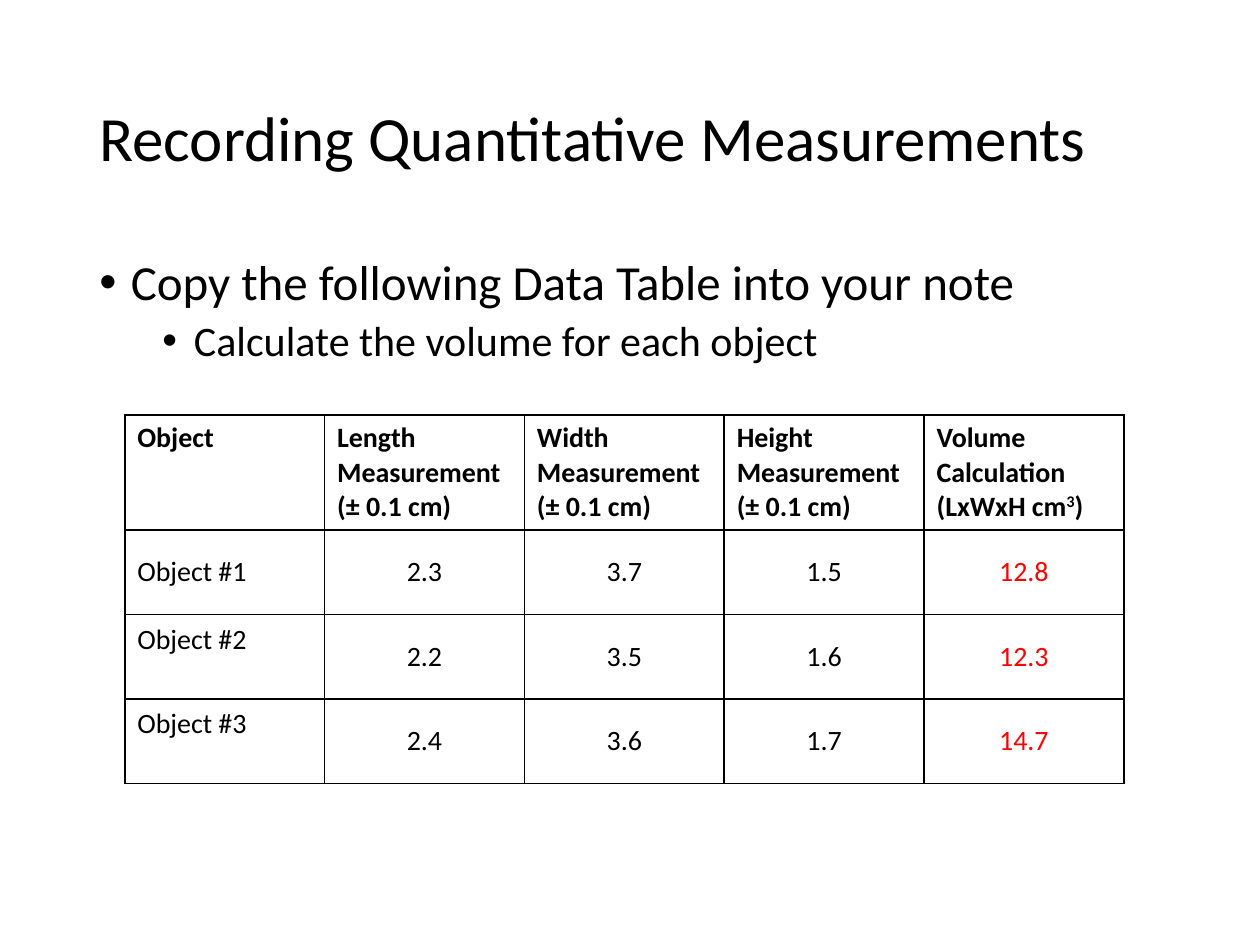
from copy import deepcopy
from dataclasses import dataclass

from lxml import etree
from pptx import Presentation
from pptx.dml.color import RGBColor
from pptx.enum.text import MSO_ANCHOR, PP_ALIGN
from pptx.oxml.ns import qn
from pptx.util import Inches, Pt

MIDDLE, TOP = MSO_ANCHOR.MIDDLE, MSO_ANCHOR.TOP
LEFT, CENTER = PP_ALIGN.LEFT, PP_ALIGN.CENTER
SLIDE_W, SLIDE_H = Inches(10), Inches(7.5)


@dataclass(frozen=True)
class Theme:
    """Fonts, colours and type sizes of the slide."""
    font: str = "Calibri"
    ink: str = "000000"
    answer: str = "FF0000"
    title: int = 36
    bullet: int = 28
    sub_bullet: int = 24
    cell: int = 16
    border: int = 1


THEME = Theme()
TITLE = "Recording Quantitative Measurements"
BULLETS = [("Copy the following Data Table into your note", THEME.bullet, 0.25, 0),
           ("Calculate the volume for each object", THEME.sub_bullet, 0.75, 5)]
HEADERS = ["Object",
           *([f"{side}\nMeasurement", "(± 0.1 cm)"] for side in ("Length", "Width", "Height")),
           ["Volume\nCalculation", "(LxWxH cm^3^)"]]
ROWS = [("Object #1", "2.3", "3.7", "1.5", "12.8"),
        ("Object #2", "2.2", "3.5", "1.6", "12.3"),
        ("Object #3", "2.4", "3.6", "1.7", "14.7")]


def share(x, y, w, h):
    """Turn shares of the slide into a box in EMU."""
    return [round(v * side) for v, side in zip((x, y, w, h), (SLIDE_W, SLIDE_H) * 2)]


def write(p, text, size, color=THEME.ink, bold=False, align=LEFT, spacing=None, before=0):
    """Fill a paragraph; a newline breaks the line and carets enclose superscript."""
    p.alignment = align
    if spacing:
        p.line_spacing = spacing
    if before:
        p.space_before = Pt(before)
    for i, part in enumerate(text.split("^")):
        for j, line in enumerate(part.split("\n")):
            if j:
                p.add_line_break()
            r = p.add_run()
            r.text = line
            r.font.name, r.font.size, r.font.bold = THEME.font, Pt(size), bold
            r.font.color.rgb = RGBColor.from_string(color)
            if i % 2:
                r.font._element.set("baseline", "30000")
    for br in p._p.findall(qn("a:br")):
        br.append(deepcopy(r.font._element))


def write_all(tf, texts, **fmt):
    """Write each text as a paragraph of its own."""
    for i, text in enumerate(texts):
        write(tf.add_paragraph() if i else tf.paragraphs[0], text, **fmt)


def add_frame(s, box, anchor):
    """Add a wrapping text box and return its text frame."""
    tf = s.shapes.add_textbox(*box).text_frame
    tf.word_wrap, tf.vertical_anchor = True, anchor
    return tf


def add_title(s, box):
    """Place the slide title."""
    write(add_frame(s, box, MIDDLE).paragraphs[0], TITLE, size=THEME.title, spacing=0.9)


def add_bullets(s, box):
    """Place the two-level instructions."""
    tf = add_frame(s, box, TOP)
    for level, (text, size, indent, before) in enumerate(BULLETS):
        p = tf.add_paragraph() if level else tf.paragraphs[0]
        p.level = level
        pPr = p._p.get_or_add_pPr()
        pPr.set("marL", str(Inches(indent)))
        pPr.set("indent", str(Inches(-0.25)))
        etree.SubElement(pPr, qn("a:buFont"), typeface="Arial")
        etree.SubElement(pPr, qn("a:buChar"), char="•")
        write(p, text, size, spacing=0.9, before=before)


def style_cell(cell, anchor):
    """Clear the fill of a cell and rule its four sides."""
    cell.vertical_anchor = anchor
    tcPr = cell._tc.get_or_add_tcPr()
    for side in ("lnL", "lnR", "lnT", "lnB"):
        ln = etree.SubElement(tcPr, qn(f"a:{side}"), w=str(Pt(THEME.border)))
        fill = etree.SubElement(ln, qn("a:solidFill"))
        etree.SubElement(fill, qn("a:srgbClr"), val=THEME.ink)
    cell.fill.background()


def add_data_table(s, box):
    """Place the measurement table with a taller header row."""
    last = len(HEADERS) - 1
    table = s.shapes.add_table(len(ROWS) + 1, len(HEADERS), *box).table
    table.first_row = table.horz_banding = False
    for col in table.columns:
        col.width = box[2] // len(HEADERS)
    body_height = Inches(0.67)
    for row in table.rows:
        row.height = body_height
    table.rows[0].height = box[3] - len(ROWS) * body_height
    for c, header in enumerate(HEADERS):
        cell = table.cell(0, c)
        style_cell(cell, TOP)
        write_all(cell.text_frame, [header] if isinstance(header, str) else header,
                  size=THEME.cell, bold=True)
    for r, values in enumerate(ROWS, 1):
        for c, value in enumerate(values):
            cell = table.cell(r, c)
            style_cell(cell, MIDDLE)
            write(cell.text_frame.paragraphs[0], value, THEME.cell,
                  color=THEME.answer if c == last else THEME.ink,
                  align=CENTER if c else LEFT)
        if r > 1:
            table.cell(r, 0).margin_bottom = Inches(0.32)


def main():
    """Build and save the slide."""
    prs = Presentation()
    prs.slide_width, prs.slide_height = SLIDE_W, SLIDE_H
    s = prs.slides.add_slide(prs.slide_layouts[6])
    add_title(s, share(0.069, 0.053, 0.862, 0.193))
    add_bullets(s, share(0.069, 0.267, 0.862, 0.635))
    add_data_table(s, share(0.099, 0.439, 0.793, 0.39))
    prs.save("out.pptx")


if __name__ == "__main__":
    main()
